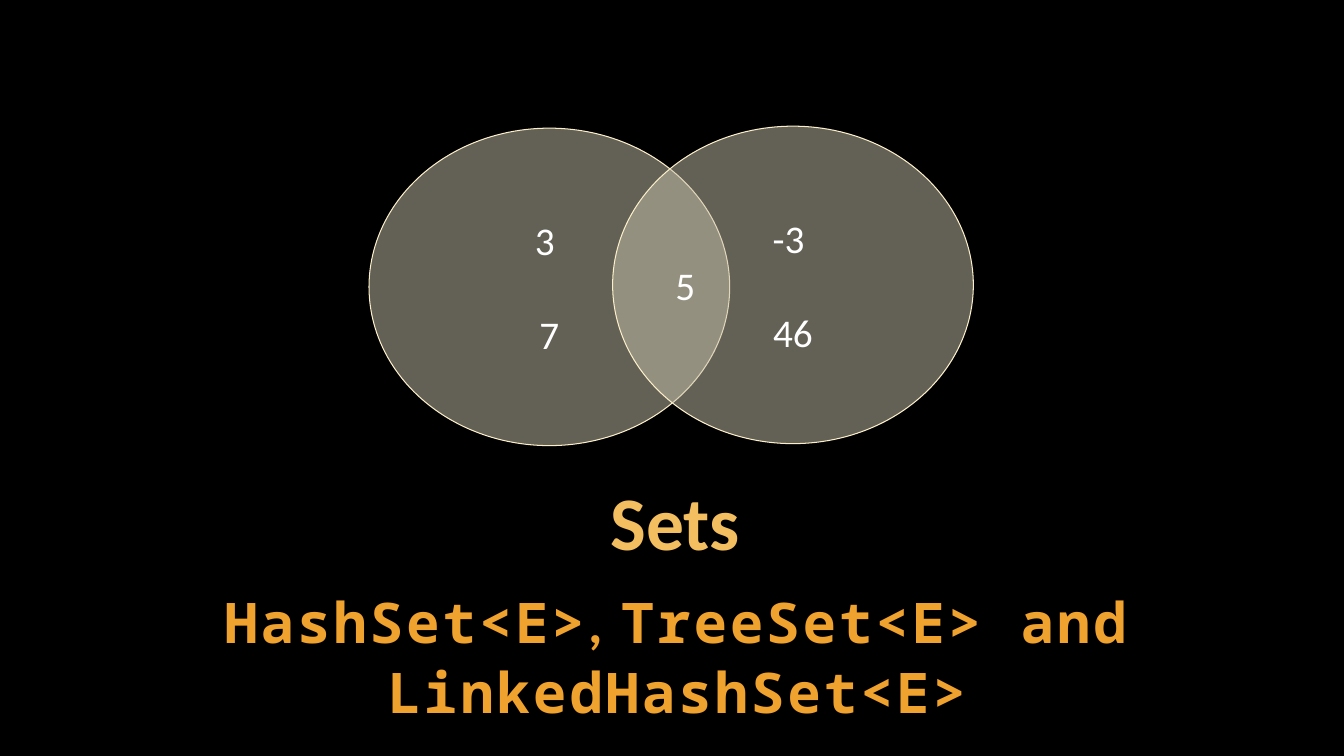
import pptx
import pptx.dml.color
import pptx.enum.shapes
import pptx.enum.text
import pptx.oxml
import pptx.oxml.ns
import pptx.util

Cm = pptx.util.Cm
Pt = pptx.util.Pt
ALIGN = pptx.enum.text.PP_ALIGN
ANCHOR = pptx.enum.text.MSO_ANCHOR

COLORS = {
    "background": "000000",
    "title": "F3BE60",
    "subtitle": "F0A22E",
    "set_fill": "C6C0AA",
    "set_line": "FBEEC9",
    "number": "FFFFFF",
}
SANS = "Calibri"
MONO = "Noto Sans Mono"


def rgb(name):
    return pptx.dml.color.RGBColor.from_string(COLORS[name])


def add_run(p, text, size, color, font=SANS, bold=False, spacing=None):
    r = p.add_run()
    r.text = text
    r.font.name = font
    r.font.size = Pt(size)
    r.font.bold = bold
    r.font.color.rgb = rgb(color)
    if spacing:
        r.font._element.set("spc", str(spacing * 100))


def add_text_box(s, left, top, width, height, anchor):
    """Add a wrapping text box and return its centred first paragraph."""
    tf = s.shapes.add_textbox(Cm(left), Cm(top), Cm(width), Cm(height)).text_frame
    tf.word_wrap = True
    tf.vertical_anchor = anchor
    tf.margin_left = tf.margin_right = tf.margin_top = tf.margin_bottom = Cm(0.1)
    p = tf.paragraphs[0]
    p.alignment = ALIGN.CENTER
    return p


def add_set(s, left, top, members):
    """Add a half-transparent ellipse; members are (text, alignment, space before)."""
    sp = s.shapes.add_shape(pptx.enum.shapes.MSO_SHAPE.OVAL,
                            Cm(left), Cm(top), Cm(9.09), Cm(8))
    sp.shadow.inherit = False
    sp.fill.solid()
    sp.fill.fore_color.rgb = rgb("set_fill")
    color = sp._element.spPr.find(".//" + pptx.oxml.ns.qn("a:srgbClr"))
    color.append(pptx.oxml.parse_xml(
        '<a:alpha %s val="50000"/>' % pptx.oxml.ns.nsdecls("a")))
    sp.line.color.rgb = rgb("set_line")
    sp.line.width = Pt(0.75)

    tf = sp.text_frame
    tf.word_wrap = True
    tf.vertical_anchor = ANCHOR.MIDDLE
    for i, (text, alignment, space) in enumerate(members):
        p = tf.add_paragraph() if i else tf.paragraphs[0]
        p.alignment = alignment
        p.space_before = Pt(space)
        add_run(p, text, 28, "number")


def main():
    prs = pptx.Presentation()
    prs.slide_width, prs.slide_height = Cm(33.87), Cm(19.05)
    s = prs.slides.add_slide(prs.slide_layouts[6])
    s.background.fill.solid()
    s.background.fill.fore_color.rgb = rgb("background")

    # Title
    p = add_text_box(s, 4.6, 12.07, 24.84, 2.29, ANCHOR.BOTTOM)
    p.line_spacing = Pt(54)
    add_run(p, "Sets", 54, "title", bold=True)

    # Set classes
    p = add_text_box(s, 4.65, 14.61, 24.84, 3.78, ANCHOR.TOP)
    p.line_spacing = 1.05
    p.space_after = Pt(6)
    for text, font in (("HashSet<E>", MONO), (", ", SANS),
                       ("TreeSet<E> and LinkedHashSet<E>", MONO)):
        add_run(p, text, 40, "subtitle", font, bold=True, spacing=2)

    # Venn diagram: the shared member 5 sits at the left of the right set
    add_set(s, 9.3, 3.23, [("3 ", ALIGN.CENTER, 0), ("7", ALIGN.CENTER, 34)])
    add_set(s, 15.44, 3.18, [("-3 ", ALIGN.CENTER, 0), ("5", ALIGN.LEFT, 0),
                             ("46", ALIGN.CENTER, 0)])

    prs.save("out.pptx")


if __name__ == "__main__":
    main()
